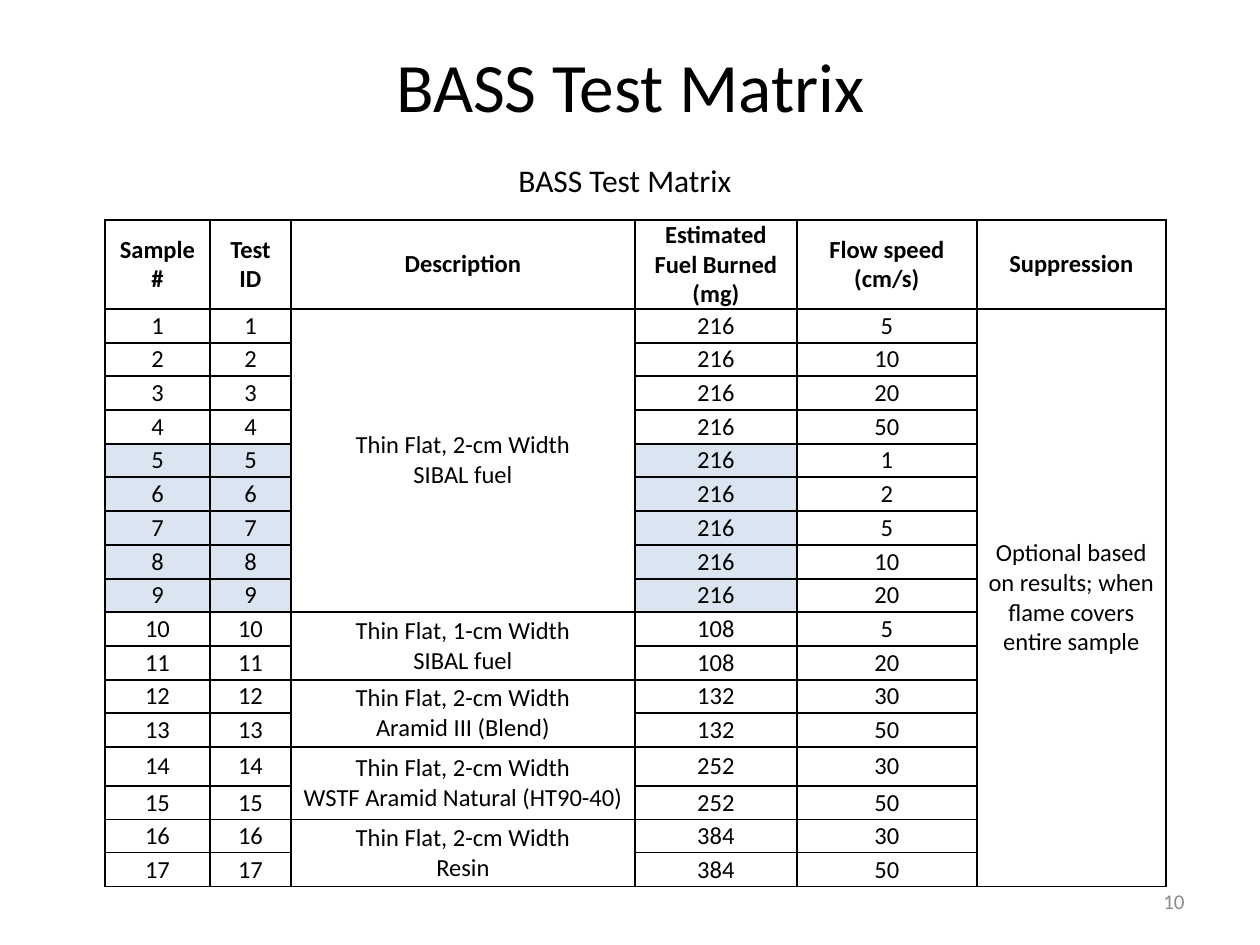
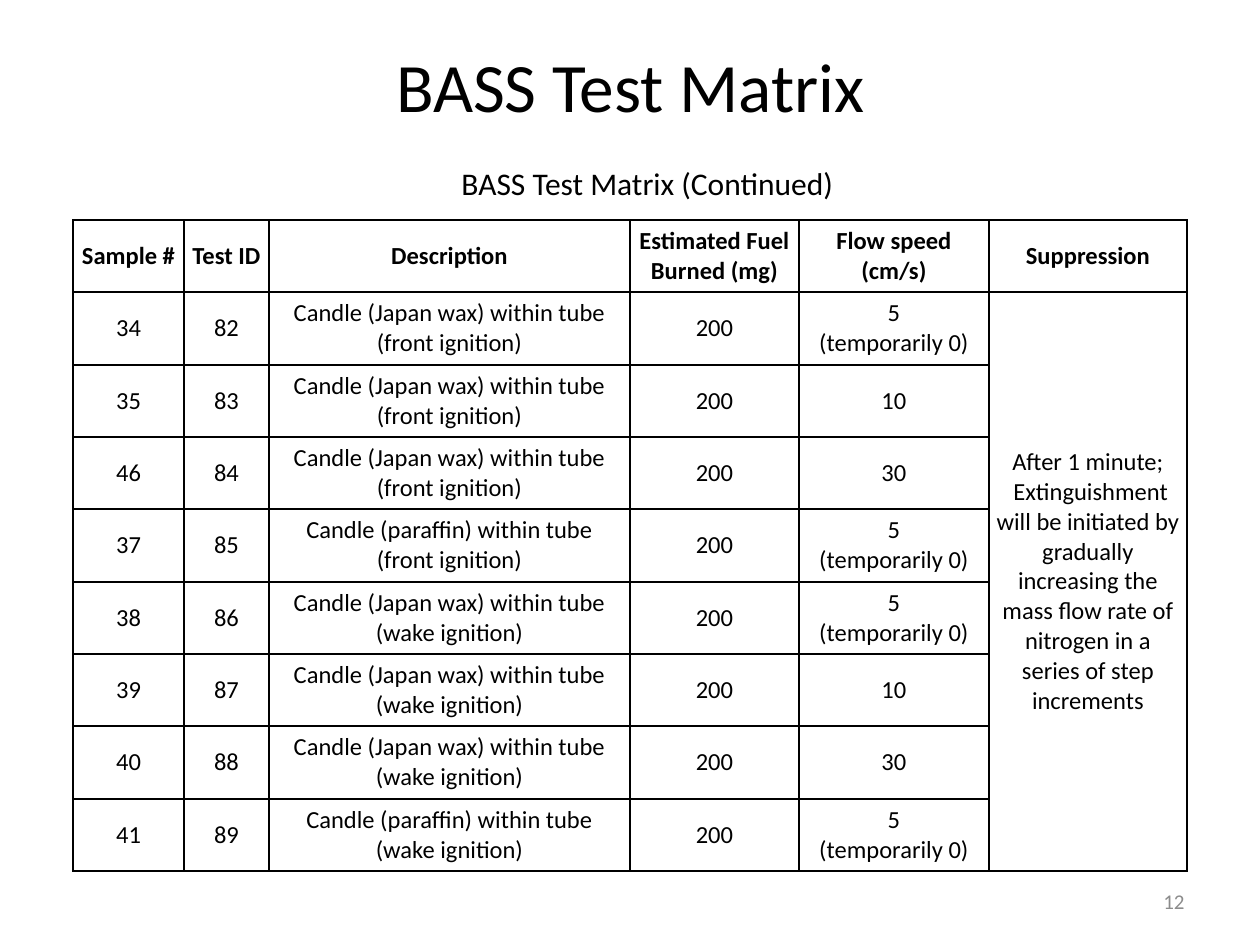
from dataclasses import dataclass

from lxml.etree import SubElement
from pptx import Presentation
from pptx.dml.color import RGBColor
from pptx.enum.text import MSO_ANCHOR, PP_ALIGN
from pptx.oxml.ns import qn
from pptx.util import Emu, Pt

EMU_PER_PX = 914400 // 126


@dataclass(frozen=True)
class Theme:
    font: str = "Calibri"
    ink: str = "000000"
    page_grey: str = "8C8C8C"
    highlight: str = "DBE5F1"
    title_size: float = 39.6
    caption_size: float = 18
    cell_size: float = 14
    page_size: float = 12
    border_width: float = 1


THEME = Theme()
HEADINGS = ["Sample #", "Test ID", "Description", "Estimated Fuel Burned (mg)",
            "Flow speed (cm/s)", "Suppression"]

# Fuel, fuel burned, flow speeds tested in turn
FLAT_FUELS = [
    ("Thin Flat, 2-cm Width\nSIBAL fuel", 216, [5, 10, 20, 50, 1, 2, 5, 10, 20]),
    ("Thin Flat, 1-cm Width\nSIBAL fuel", 108, [5, 20]),
    ("Thin Flat, 2-cm Width\nAramid III (Blend)", 132, [30, 50]),
    ("Thin Flat, 2-cm Width\nWSTF Aramid Natural (HT90-40)", 252, [30, 50]),
    ("Thin Flat, 2-cm Width\nResin", 384, [30, 50]),
]
FLAT_SUPPRESSION = "Optional based on results; when flame covers entire sample"
HIGHLIGHTED_SAMPLES = range(5, 10)
HIGHLIGHTED_COLUMNS = (0, 1, 3)

CANDLE_SAMPLES = [34, 35, 46, 37, 38, 39, 40, 41]
FIRST_CANDLE_TEST = 82
CANDLE_RUNS = [("Japan wax", "5\n(temporarily 0)"), ("Japan wax", 10),
               ("Japan wax", 30), ("paraffin", "5\n(temporarily 0)")]
CANDLE_SUPPRESSION = (
    "After 1 minute;\n Extinguishment will be initiated by gradually increasing "
    "the mass flow rate of nitrogen in a series of step increments")


def px(length):
    return Emu(length * EMU_PER_PX)


def even_parts(total, count):
    """Split a length into whole parts that add up to it."""
    edges = [round(total * i / count) for i in range(count + 1)]
    return [end - start for start, end in zip(edges, edges[1:])]


def write(frame, text, size, color=THEME.ink, align=PP_ALIGN.CENTER, bold=False):
    for i, line in enumerate(str(text).split("\n")):
        paragraph = frame.paragraphs[0] if i == 0 else frame.add_paragraph()
        paragraph.alignment = align
        run = paragraph.add_run()
        run.text = line
        run.font.name = THEME.font
        run.font.size = Pt(size)
        run.font.bold = bold
        run.font.color.rgb = RGBColor.from_string(color)


def add_label(slide, box, text, size, anchor=MSO_ANCHOR.MIDDLE, wrap=True, **style):
    frame = slide.shapes.add_textbox(*map(px, box)).text_frame
    frame.word_wrap = wrap
    frame.vertical_anchor = anchor
    write(frame, text, size, **style)


def outline_cell(cell):
    properties = cell._tc.get_or_add_tcPr()
    for i, side in enumerate(("lnL", "lnR", "lnT", "lnB")):
        line = SubElement(properties, qn(f"a:{side}"), w=str(Pt(THEME.border_width)))
        fill = SubElement(line, qn("a:solidFill"))
        SubElement(fill, qn("a:srgbClr"), val=THEME.ink)
        properties.insert(i, line)


def style_cell(cell, side_margin, highlighted):
    cell.margin_left = cell.margin_right = px(side_margin)
    cell.margin_top = cell.margin_bottom = 0
    cell.vertical_anchor = MSO_ANCHOR.MIDDLE
    if highlighted:
        cell.fill.solid()
        cell.fill.fore_color.rgb = RGBColor.from_string(THEME.highlight)
    else:
        cell.fill.background()
    outline_cell(cell)


def add_matrix(slide, left, top, widths, heights, body, side_margin, highlights=()):
    """Draw the test matrix; None in a row continues the cell above it."""
    rows = [HEADINGS] + body
    frame = slide.shapes.add_table(len(rows), len(widths), px(left), px(top),
                                   px(sum(widths)), px(sum(heights)))
    matrix = frame.table
    matrix.first_row = matrix.horz_banding = False
    for column, width in zip(matrix.columns, widths):
        column.width = px(width)
    for row, height in zip(matrix.rows, heights):
        row.height = px(height)
    for r, row in enumerate(rows):
        for c, text in enumerate(row):
            cell = matrix.cell(r, c)
            style_cell(cell, side_margin, (r, c) in highlights)
            if text is None:
                cell.text_frame.paragraphs[0].font.size = Pt(THEME.cell_size)
                continue
            write(cell.text_frame, text, THEME.cell_size, bold=r == 0)
            last = r
            while last + 1 < len(rows) and rows[last + 1][c] is None:
                last += 1
            if last > r:
                cell.merge(matrix.cell(last, c))


def add_matrix_slide(deck, page, caption, caption_box, caption_wrap):
    slide = deck.slides.add_slide(deck.slide_layouts[6])
    add_label(slide, (95, 33, 1071, 103), "BASS Test Matrix", THEME.title_size)
    add_label(slide, (903, 876, 294, 50), page, THEME.page_size,
              color=THEME.page_grey, align=PP_ALIGN.RIGHT)
    add_label(slide, caption_box, caption, THEME.caption_size,
              anchor=MSO_ANCHOR.TOP, wrap=caption_wrap)
    return slide


def flat_fuel_rows():
    rows = []
    for fuel, burned, speeds in FLAT_FUELS:
        for i, speed in enumerate(speeds):
            sample = len(rows) + 1
            rows.append([sample, sample, fuel if i == 0 else None, burned, speed,
                         FLAT_SUPPRESSION if sample == 1 else None])
    return rows


def candle_rows():
    runs = [(wax, ignition, speed) for ignition in ("front", "wake")
            for wax, speed in CANDLE_RUNS]
    return [[sample, FIRST_CANDLE_TEST + i,
             f"Candle ({wax}) within tube\n({ignition} ignition)", 200, speed,
             CANDLE_SUPPRESSION if i == 0 else None]
            for i, (sample, (wax, ignition, speed)) in enumerate(zip(CANDLE_SAMPLES, runs))]


def main():
    deck = Presentation()
    deck.slide_width, deck.slide_height = px(1260), px(945)

    # Flat fuel samples
    flat = add_matrix_slide(deck, 10, "BASS Test Matrix", (445, 155, 360, 64), False)
    add_matrix(flat, 105, 220, [105, 81, 344, 162, 180, 189],
               [89] + even_parts(438, 13) + [39] + even_parts(101, 3),
               flat_fuel_rows(), side_margin=9,
               highlights={(r, c) for r in HIGHLIGHTED_SAMPLES for c in HIGHLIGHTED_COLUMNS})

    # Candle samples
    candles = add_matrix_slide(deck, 12, "BASS Test Matrix (Continued)",
                               (325, 158, 645, 64), True)
    add_matrix(candles, 73, 220, [111, 85, 361, 169, 190, 198],
               even_parts(651, 9), candle_rows(), side_margin=5)

    deck.save("out.pptx")


if __name__ == "__main__":
    main()
